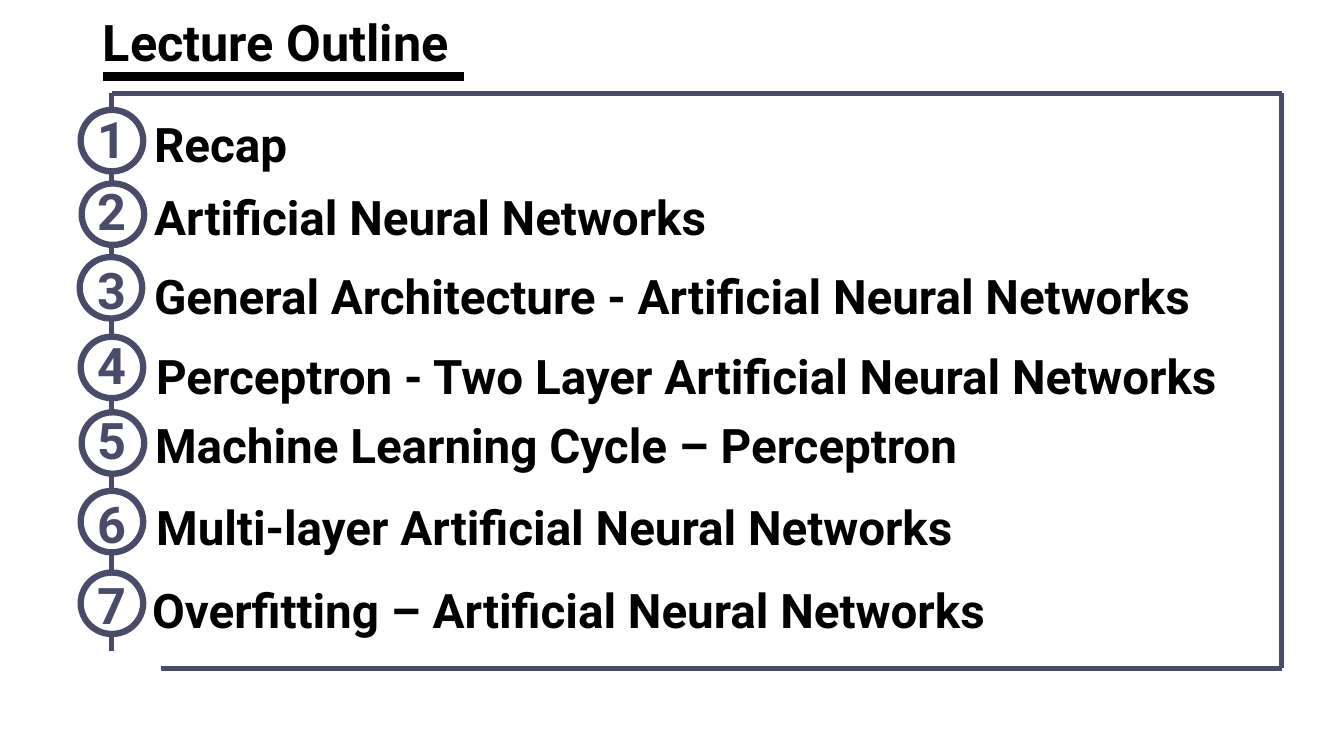
from dataclasses import dataclass

import pptx
import pptx.dml.color
import pptx.enum.shapes
import pptx.enum.text
import pptx.oxml
import pptx.oxml.ns
import pptx.shapes.autoshape
import pptx.shapes.shapetree
import pptx.util

PX = 9144
FONT = "Roboto"
SLATE = pptx.dml.color.RGBColor(0x49, 0x4B, 0x69)
BLACK = pptx.dml.color.RGBColor(0, 0, 0)
WHITE = pptx.dml.color.RGBColor(0xFF, 0xFF, 0xFF)
PP_ALIGN = pptx.enum.text.PP_ALIGN


@dataclass
class Topic:
    text: str
    circle_x: int
    circle_y: int
    number_y: int
    label_x: int
    label_y: int
    label_w: int


@dataclass
class Rule:
    x1: int
    y1: int
    x2: int
    y2: int
    color: pptx.dml.color.RGBColor = SLATE
    width: float = 3.5


TOPICS = [
    Topic("Recap", 80, 109, 102, 143, 105, 167),
    Topic("Artificial Neural Networks", 81, 182, 174, 143, 178, 1023),
    Topic("General Architecture - Artificial Neural Networks", 79, 255, 252, 143, 256, 1108),
    Topic("Perceptron - Two Layer Artificial Neural Networks", 80, 334, 327, 145, 335, 1175),
    Topic("Machine Learning Cycle – Perceptron", 81, 409, 401, 144, 404, 1023),
    Topic("Multi-layer Artificial Neural Networks", 80, 487, 484, 145, 485, 1108),
    Topic("Overfitting – Artificial Neural Networks", 80, 568, 565, 141, 567, 1108),
]
FRAME = [
    Rule(111, 646, 111, 92),
    Rule(1272, 93, 111, 93),
    Rule(1271, 663, 1271, 92),
    Rule(1272, 663, 160, 663),
]
UNDERLINE = Rule(102, 76, 460, 76, BLACK, 6)


def px(n: int) -> pptx.util.Emu:
    return pptx.util.Emu(n * PX)


def set_font(p, size: int, color: pptx.dml.color.RGBColor) -> None:
    p.font.name = FONT
    p.font.size = pptx.util.Pt(size)
    p.font.bold = True
    p.font.color.rgb = color


def add_rule(shapes, rule: Rule) -> None:
    line = shapes.add_connector(
        pptx.enum.shapes.MSO_CONNECTOR.STRAIGHT,
        px(rule.x1), px(rule.y1), px(rule.x2), px(rule.y2),
    )
    line.line.color.rgb = rule.color
    line.line.width = pptx.util.Pt(rule.width)
    sp_pr = line._element.find(pptx.oxml.ns.qn("p:spPr"))
    sp_pr.append(pptx.oxml.parse_xml(f"<a:effectLst {pptx.oxml.ns.nsdecls('a')}/>"))


def add_text(shapes, text: str, x: int, y: int, w: int, size: int,
             color: pptx.dml.color.RGBColor) -> pptx.shapes.autoshape.Shape:
    sp = shapes.add_textbox(px(x), px(y), px(w), px(71))
    tf = sp.text_frame
    tf.word_wrap = True
    tf.auto_size = pptx.enum.text.MSO_AUTO_SIZE.SHAPE_TO_FIT_TEXT
    p = tf.paragraphs[0]
    p.text = text
    set_font(p, size, color)
    return sp


def add_topic(shapes, number: int, topic: Topic) -> None:
    group = shapes.add_group_shape().shapes
    circle = group.add_shape(
        pptx.enum.shapes.MSO_SHAPE.OVAL,
        px(topic.circle_x), px(topic.circle_y), px(62), px(61),
    )
    circle.shadow.inherit = False
    circle.fill.solid()
    circle.fill.fore_color.rgb = WHITE
    circle.line.color.rgb = SLATE
    circle.line.width = pptx.util.Pt(4.5)

    sp = add_text(group, str(number), 68, topic.number_y, 87, 36, SLATE)
    sp.text_frame.margin_left = sp.text_frame.margin_right = px(12)
    sp.text_frame.paragraphs[0].alignment = PP_ALIGN.CENTER

    sp = add_text(group, topic.text, topic.label_x, topic.label_y, topic.label_w, 34, BLACK)
    p = sp.text_frame.paragraphs[0]
    p.line_spacing = 1.07
    p.space_after = pptx.util.Pt(8)


def format_title(title) -> None:
    title.left, title.top, title.width, title.height = px(92), px(16), px(1150), px(61)
    tf = title.text_frame
    tf.auto_size = pptx.enum.text.MSO_AUTO_SIZE.NONE
    tf.vertical_anchor = pptx.enum.text.MSO_ANCHOR.MIDDLE
    p = tf.paragraphs[0]
    p.text = "Lecture Outline"
    p.alignment = PP_ALIGN.LEFT
    p.line_spacing = 0.8
    set_font(p, 36, BLACK)


def main() -> None:
    prs = pptx.Presentation()
    prs.slide_width, prs.slide_height = px(1333), px(750)
    s = prs.slides.add_slide(prs.slide_layouts.get_by_name("Title Only"))
    format_title(s.shapes.title)
    frame = s.shapes.add_group_shape().shapes
    for rule in FRAME:
        add_rule(frame, rule)
    add_rule(s.shapes, UNDERLINE)
    for number, topic in enumerate(TOPICS, 1):
        add_topic(s.shapes, number, topic)
    prs.save("out.pptx")


if __name__ == "__main__":
    main()
